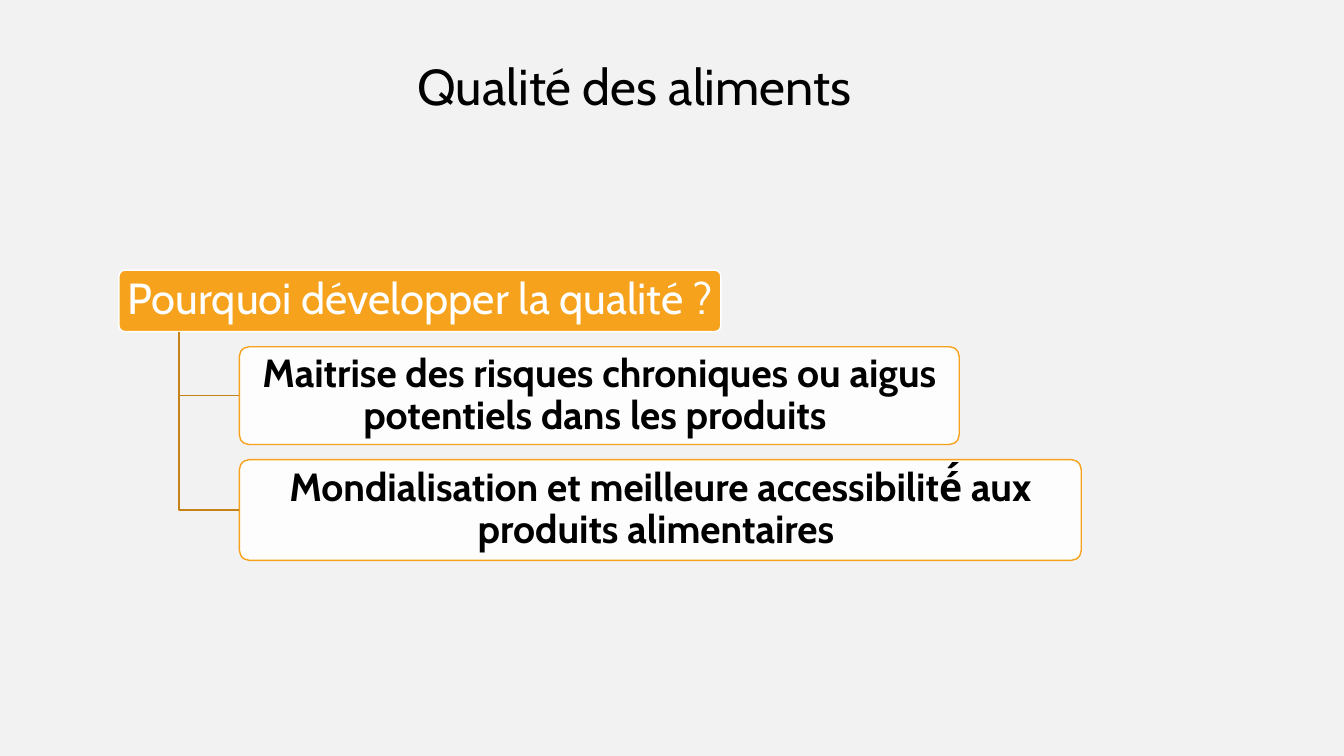
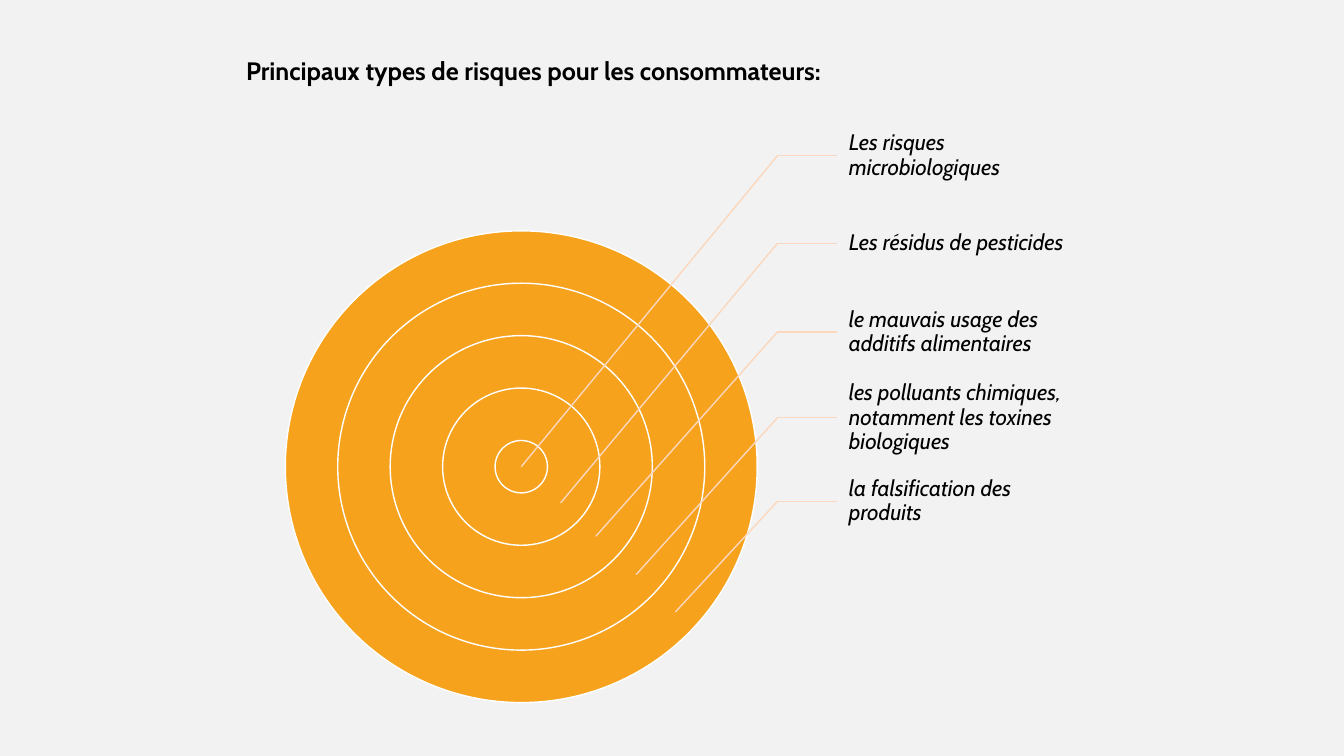
from pptx import Presentation
from pptx.dml.color import RGBColor
from pptx.enum.shapes import MSO_CONNECTOR, MSO_SHAPE
from pptx.enum.text import MSO_ANCHOR, MSO_AUTO_SIZE, PP_ALIGN
from pptx.oxml.ns import qn
from pptx.util import Inches, Pt
from lxml.etree import SubElement

# Shared look
FONT = "Cabin"
BACKGROUND = "F2F2F2"
ORANGE = "F6A21D"
BRANCH = "C58217"
LEADER = "FBD7BD"
WHITE = "FFFFFF"
BLACK = "000000"
TITLE_TOP, TITLE_HEIGHT = 0.5, 0.71


def color(value):
    return RGBColor.from_string(value)


def set_fill(shape, value, opacity=100):
    shape.fill.solid()
    shape.fill.fore_color.rgb = color(value)
    if opacity < 100:
        fill_color = shape.fill._xPr.find(qn("a:solidFill"))[0]
        SubElement(fill_color, qn("a:alpha")).set("val", str(opacity * 1000))


def set_line(shape, value):
    shape.line.color.rgb = color(value)
    shape.line.width = Pt(1)


def write(shape, text, size, value=BLACK, bold=False, italic=False,
          align=PP_ALIGN.LEFT, anchor=MSO_ANCHOR.MIDDLE, spacing=0.9,
          insets=(0.1, 0.05, 0.1, 0.05)):
    frame = shape.text_frame
    frame.word_wrap = True
    frame.auto_size = MSO_AUTO_SIZE.NONE
    frame.vertical_anchor = anchor
    (frame.margin_left, frame.margin_top,
     frame.margin_right, frame.margin_bottom) = map(Inches, insets)
    frame.text = text
    paragraph = frame.paragraphs[0]
    paragraph.alignment = align
    paragraph.line_spacing = spacing
    paragraph.space_before = Pt(0)
    font = paragraph.font
    font.name, font.size, font.bold, font.italic = FONT, Pt(size), bold, italic
    font.color.rgb = color(value)


def add_titled_slide(presentation, title, left, width, size, bold=False):
    slide = presentation.slides.add_slide(presentation.slide_layouts[5])
    shape = slide.shapes.title
    shape.left, shape.top = Inches(left), Inches(TITLE_TOP)
    shape.width, shape.height = Inches(width), Inches(TITLE_HEIGHT)
    write(shape, title, size, bold=bold, anchor=MSO_ANCHOR.TOP, spacing=1.0)
    return slide


# Tree: a heading box with branches to the reasons below it
def add_rounded_box(slide, left, top, width, height, text, size, fill, line,
                    text_color, opacity=100, bold=False):
    box = slide.shapes.add_shape(MSO_SHAPE.ROUNDED_RECTANGLE, Inches(left),
                                 Inches(top), Inches(width), Inches(height))
    box.shadow.inherit = False
    box.adjustments[0] = 0.1
    set_fill(box, fill, opacity)
    set_line(box, line)
    write(box, text, size, text_color, bold=bold, align=PP_ALIGN.CENTER,
          insets=(0.05, 0.04, 0.05, 0.04))
    return box


def add_branch(slide, parent, child):
    x = parent.left + parent.width // 10
    start_y = parent.top + parent.height
    end_y = child.top + child.height // 2
    builder = slide.shapes.build_freeform(x, start_y)
    builder.add_line_segments([(x, end_y), (child.left, end_y)], close=False)
    branch = builder.convert_to_shape()
    branch.shadow.inherit = False
    branch.fill.background()
    set_line(branch, BRANCH)


def add_tree(slide, left, top, heading, reasons):
    width, height, gap = 5.97, 0.61, 0.15
    parent = add_rounded_box(slide, left, top, width, height, heading, 31,
                             ORANGE, WHITE, WHITE)
    child_top = top + height + gap
    for text, child_width, child_height in reasons:
        child = add_rounded_box(slide, left + width / 5, child_top, child_width,
                                child_height, text, 28, WHITE, ORANGE, BLACK,
                                opacity=90, bold=True)
        add_branch(slide, parent, child)
        child_top += child_height + gap


# Target: concentric rings, each with a leader to its label
def add_rings(slide, center_x, center_y, inner_radius, step, count):
    for index in reversed(range(count)):
        radius = inner_radius + index * step
        ring = slide.shapes.add_shape(
            MSO_SHAPE.OVAL, Inches(center_x - radius), Inches(center_y - radius),
            Inches(2 * radius), Inches(2 * radius))
        ring.shadow.inherit = False
        set_fill(ring, ORANGE)
        set_line(ring, WHITE)


def add_leader_line(slide, start, end):
    line = slide.shapes.add_connector(MSO_CONNECTOR.STRAIGHT,
                                      *map(Inches, start + end))
    SubElement(line._element.spPr, qn("a:effectLst"))
    set_line(line, LEADER)
    return line


def add_target(slide, center_x, center_y, risks):
    add_rings(slide, center_x, center_y, 0.26, 0.52, len(risks))
    label_left, label_width, label_height = center_x + 3.13, 2.34, 0.83
    bend_x = label_left - 0.59
    for text, label_top, tip_x, tip_y in risks:
        label = slide.shapes.add_textbox(Inches(label_left), Inches(label_top),
                                         Inches(label_width), Inches(label_height))
        write(label, text, 16, italic=True, insets=(0.12, 0.02, 0.02, 0.02))
        bend = (bend_x, label_top + label_height / 2)
        add_leader_line(slide, bend, (label_left, bend[1])).end_connect(label, 1)
        add_leader_line(slide, bend, (center_x + tip_x, center_y + tip_y))


def main():
    presentation = Presentation()
    presentation.slide_width = Inches(13.33)
    presentation.slide_height = Inches(7.5)
    background = presentation.slide_master.background.fill
    background.solid()
    background.fore_color.rgb = color(BACKGROUND)

    # Food quality; each reason: text, width, height
    slide = add_titled_slide(presentation, "Qualité des aliments", 4.04, 4.77, 36)
    add_tree(slide, 1.18, 2.68, "Pourquoi développer la qualité ?", [
        ("Maitrise des risques chroniques ou aigus potentiels dans les produits ",
         7.14, 0.97),
        ("Mondialisation et meilleure accessibilité́ aux produits alimentaires ",
         8.35, 1),
    ])

    # Consumer risks; each risk: text, label top, leader tip from the centre
    slide = add_titled_slide(
        presentation, "Principaux types de risques pour les consommateurs:",
        2.34, 6.78, 18, bold=True)
    add_target(slide, 5.17, 4.63, [
        ("Les risques microbiologiques", 1.13, 0, 0),
        ("Les résidus de pesticides", 2, 0.39, 0.36),
        ("le mauvais usage des additifs alimentaires", 2.88, 0.74, 0.69),
        ("les polluants chimiques, notamment les toxines biologiques",
         3.73, 1.14, 1.07),
        ("la falsification des produits", 4.56, 1.53, 1.44),
    ])
    presentation.save("out.pptx")


if __name__ == "__main__":
    main()
